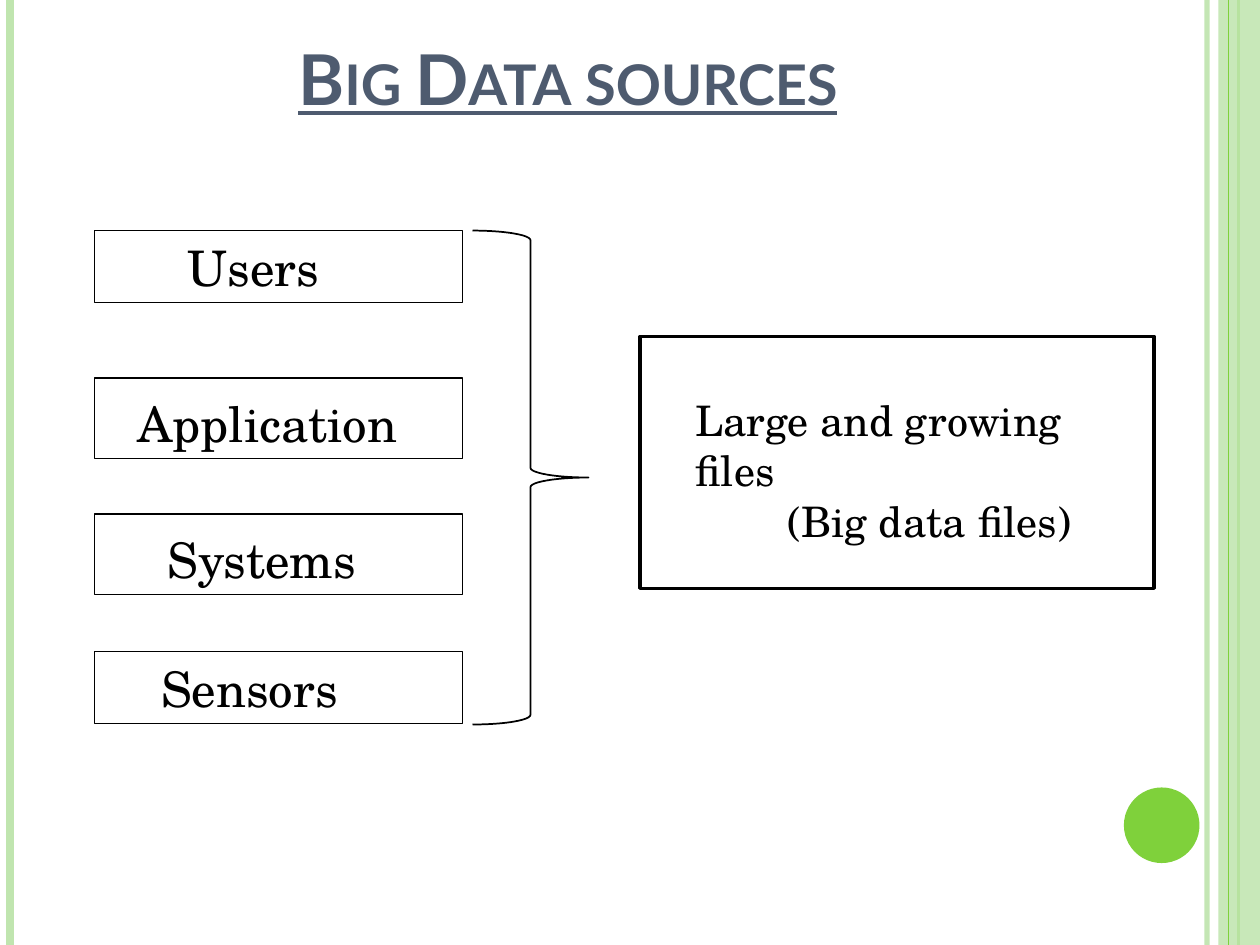
from lxml import etree
from pptx import Presentation
from pptx.dml.color import RGBColor
from pptx.enum import shapes, text
from pptx.oxml.ns import qn
from pptx.util import Inches, Pt

COLORS = {"pale": "C0E5AF", "green": "7FD13B", "title": "4E5B6F",
          "black": "000000", "white": "FFFFFF"}
HEADING, BODY = "Lato", "TeX Gyre Schola"
SLIDE_W, SLIDE_H = 10, 7.5

TITLE = "Big Data sources"
# label, top, height, text indent
SOURCES = [("Users", 1.83, 0.57, 0.64), ("Application", 3, 0.64, 0.24),
           ("Systems", 4.08, 0.64, 0.48), ("Sensors", 5.17, 0.57, 0.43)]
# paragraph, indent
RESULT = [("Large and growing files", 0), ("(Big data files)", 0.73)]
# x, colour, width in points, opacity in percent
EDGE_LINES = [(9.58, "pale", 3, 93), (0.08, "pale", 4.5, 100), (9.83, "green", 1.5, 100)]
INNER_EDGE = (9.75, "green", 0.75, 100)

prs = Presentation()
prs.slide_width, prs.slide_height = Inches(SLIDE_W), Inches(SLIDE_H)
slide = prs.slides.add_slide(prs.slide_layouts[6])


def rgb(name):
    return RGBColor.from_string(COLORS[name])


def set_opacity(fill_parent, percent):
    clr = fill_parent.find(".//" + qn("a:srgbClr"))
    etree.SubElement(clr, qn("a:alpha")).set("val", str(percent * 1000))


def add_edge(x, color, width, opacity):
    """Full-height vertical line."""
    line = slide.shapes.add_connector(shapes.MSO_CONNECTOR.STRAIGHT, Inches(x), 0,
                                      Inches(x), Inches(SLIDE_H))
    line.line.color.rgb, line.line.width = rgb(color), Pt(width)
    sp_pr = line._element.spPr
    if opacity < 100:
        set_opacity(sp_pr, opacity)
    etree.SubElement(sp_pr, qn("a:effectLst"))


def add_shape(kind, box, fill=None, line_width=None):
    sp = slide.shapes.add_shape(kind, *map(Inches, box))
    sp.shadow.inherit = False
    if fill:
        sp.fill.solid()
        sp.fill.fore_color.rgb = rgb(fill)
    else:
        sp.fill.background()
    if line_width:
        sp.line.color.rgb, sp.line.width = rgb("black"), Pt(line_width)
    else:
        sp.line.fill.background()
    return sp


def write(sp, paragraphs, font, size, color, anchor):
    """Left-aligned paragraphs given as (wording, indent)."""
    tf = sp.text_frame
    tf.word_wrap, tf.vertical_anchor = True, anchor
    tf.text = "\n".join(wording for wording, _ in paragraphs)
    for p, (_, indent) in zip(tf.paragraphs, paragraphs):
        p.alignment = text.PP_ALIGN.LEFT
        p._p.get_or_add_pPr().set("marL", str(Inches(indent)))
        f = p.runs[0].font
        f.name, f.size, f.color.rgb = font, Pt(size), rgb(color)
    return tf


RECT = shapes.MSO_SHAPE.RECTANGLE
TOP, BOTTOM = text.MSO_ANCHOR.TOP, text.MSO_ANCHOR.BOTTOM

# Side decoration
for edge in EDGE_LINES:
    add_edge(*edge)
band = add_shape(RECT, (9.67, 0, 0.33, SLIDE_H), "pale")
set_opacity(band._element.spPr, 87)
add_edge(*INNER_EDGE)
add_shape(shapes.MSO_SHAPE.OVAL, (8.92, 6.25, 0.6, 0.6), "green")

# Title
title = slide.shapes.add_textbox(*map(Inches, (2.17, 0.17, 5.75, 0.83)))
tf = write(title, [(TITLE, 0.1)], HEADING, 40, "title", BOTTOM)
r = tf.paragraphs[0].runs[0]
r.font.bold = r.font.underline = True
r._r.get_or_add_rPr().set("cap", "small")

# Sources, brace and result
for label, top, height, indent in SOURCES:
    source = add_shape(RECT, (0.75, top, 2.92, height), "white", 0.75)
    write(source, [(label, indent)], BODY, 28, "black", BOTTOM)
add_shape(shapes.MSO_SHAPE.RIGHT_BRACE, (3.75, 1.83, 0.92, 3.92), line_width=1)
add_shape(RECT, (5.08, 2.67, 4.08, 2), "white", 2)
result = slide.shapes.add_textbox(*map(Inches, (5.42, 3.08, 3.67, 0.91)))
write(result, RESULT, BODY, 24, "black", TOP)

prs.save("out.pptx")
